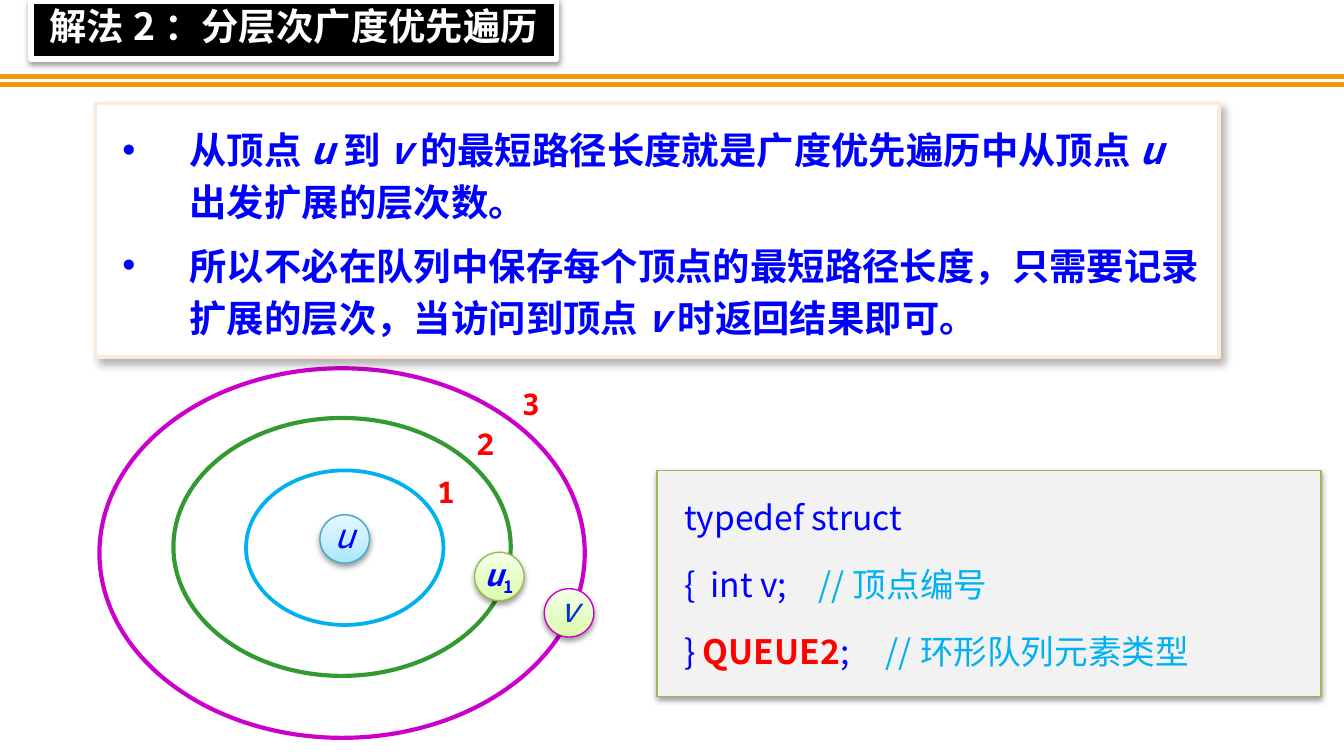
from copy import deepcopy
from lxml.etree import SubElement
from pptx import Presentation
from pptx.dml.color import RGBColor
from pptx.enum.shapes import MSO_CONNECTOR, MSO_SHAPE
from pptx.enum.text import MSO_ANCHOR, PP_ALIGN
from pptx.oxml.ns import qn
from pptx.util import Pt


def color(code):
    return RGBColor.from_string(code)


class Deck:
    """Holds the style and the current slide."""

    font = "Noto Sans CJK SC"
    mono = "Noto Sans Mono"
    blue, sky, red = "0000FF", "00B0F0", "FF0000"
    soft = (38, 3.1, 1.6, 90)
    deep = (30, 4.5, 2.6, 53)
    lime = ("DAFDA7", "E4FCC2", "F5FFE7")
    aqua = ("A7E6FF", "C1EDFF", "E7F8FF")

    def __init__(self):
        self.prs = Presentation()
        self.prs.slide_width, self.prs.slide_height = Pt(720), Pt(405)
        self.slide = self.prs.slides.add_slide(self.prs.slide_layouts[6])

    def rule(self, y):
        line = self.slide.shapes.add_connector(
            MSO_CONNECTOR.STRAIGHT, Pt(0), Pt(y), Pt(720), Pt(y))
        line.line.color.rgb = color("F19903")
        line.line.width = Pt(3)
        SubElement(line._element.spPr, qn("a:effectLst"))

    def shape(self, kind, box, edge, width, fill=None, shade=None):
        item = self.slide.shapes.add_shape(kind, *map(Pt, box))
        item.line.color.rgb = color(edge)
        item.line.width = Pt(width)
        item.shadow.inherit = False
        if fill is None:
            item.fill.background()
        elif isinstance(fill, str):
            item.fill.solid()
            item.fill.fore_color.rgb = color(fill)
        else:
            self.blend(item, fill)
        if shade:
            self.shade(item, *shade)
        return item

    def blend(self, item, tones):
        item.fill.gradient()
        item.fill.gradient_angle = 90
        stops = item._element.spPr.find(".//" + qn("a:gsLst"))
        stops.insert(1, deepcopy(stops[0]))
        for stop, mark, tone in zip(item.fill.gradient_stops, (0, 0.35, 1), tones):
            stop.position = mark
            stop.color.rgb = color(tone)

    def shade(self, item, alpha, blur, dist, angle):
        root = item._element.spPr.find(qn("a:effectLst"))
        cast = SubElement(root, qn("a:outerShdw"), blurRad=str(Pt(blur)),
                          dist=str(Pt(dist)), dir=str(angle * 60000), rotWithShape="0")
        tint = SubElement(cast, qn("a:srgbClr"), val="000000")
        SubElement(tint, qn("a:alpha"), val=str(alpha * 1000))

    def style(self, run, size, tone, bold=False, slant=False, face=font):
        run.font.size = Pt(size)
        run.font.bold, run.font.italic = bold, slant
        run.font.color.rgb = color(tone)
        run.font.name = face
        SubElement(run.font._element, qn("a:ea"), typeface=face)

    def label(self, item, text, size, tone, **look):
        para = item.text_frame.paragraphs[0]
        para.text = text
        para.alignment = PP_ALIGN.CENTER
        para.line_spacing = 0.8
        self.style(para.runs[0], size, tone, **look)
        return para

    def pad(self, item, left, side):
        frame = item.text_frame
        frame.word_wrap = True
        frame.vertical_anchor = MSO_ANCHOR.TOP
        frame.margin_left, frame.margin_right = Pt(left), Pt(7.2)
        frame.margin_top = frame.margin_bottom = Pt(side)
        return frame

    def title(self, box, text):
        item = self.shape(MSO_SHAPE.RECTANGLE, box, "FFFFFF", 3, "000000", self.soft)
        self.pad(item, 7.2, 5.76)
        self.label(item, text, 20, "FFFFFF", bold=True)

    def ring(self, box, edge, width, fill=None):
        self.shape(MSO_SHAPE.OVAL, box, edge, width, fill)

    def node(self, x, y, text, tones, edge, size, tone, bold=False, sub=None):
        item = self.shape(MSO_SHAPE.OVAL, (x, y, 26.6, 25.9), edge, 0.75, tones, self.soft)
        item.text_frame.word_wrap = False
        item.text_frame.vertical_anchor = MSO_ANCHOR.MIDDLE
        para = self.label(item, text, size, tone, bold=bold, slant=True)
        if sub:
            run = para.add_run()
            run.text = sub
            self.style(run, size, tone, bold)
            run.font._element.set("baseline", "-25000")

    def level(self, x, y, text):
        item = self.slide.shapes.add_textbox(Pt(x), Pt(y), Pt(25.9), Pt(21.6))
        item.text_frame.word_wrap = True
        self.label(item, text, 16, self.red, bold=True, face=self.mono)

    def panel(self, box, edge, width, fill, shade, rows, size, pitch, gap, dots=False):
        item = self.shape(MSO_SHAPE.RECTANGLE, box, edge, width, fill, shade)
        frame = self.pad(item, 14.4, 8.64)
        for i, row in enumerate(rows):
            para = frame.add_paragraph() if i else frame.paragraphs[0]
            para.alignment = PP_ALIGN.LEFT
            para.line_spacing = Pt(pitch)
            para.space_before = Pt(gap if i else 0)
            if dots:
                props = para._p.get_or_add_pPr()
                props.set("marL", str(Pt(36)))
                props.set("indent", str(-Pt(36)))
                SubElement(props, qn("a:buFont"), typeface="Arial")
                SubElement(props, qn("a:buChar"), char="•")
            for text, look in row:
                run = para.add_run()
                run.text = text
                self.style(run, size, **look)


def main():
    deck = Deck()
    for y in (41, 45.2):
        deck.rule(y)

    deck.ring((53.3, 197.3, 260, 198), "CC00CC", 2.25)
    deck.ring((92.9, 223.9, 180.7, 138.2), "339933", 2.25)
    deck.ring((131.8, 252, 105.8, 82.8), deck.sky, 2, "FFFFFF")
    deck.node(254.2, 295.9, "u", deck.lime, "98B955", 16, deck.blue, True, "1")
    deck.node(171.4, 275.8, "u", deck.aqua, "46AAC5", 18, deck.blue)
    deck.node(291.6, 315.4, "v", deck.lime, "CC00CC", 18, "0033CC")
    for x, y, text in ((226.1, 254.2, "1"), (247, 228.2, "2"), (271.4, 206.6, "3")):
        deck.level(x, y, text)

    deck.title((16.6, 0.7, 281.5, 31), "解法2：分层次广度优先遍历")

    bold = {"tone": deck.blue, "bold": True}
    slant = {**bold, "slant": True}
    facts = [
        [("从顶点", bold), ("u", slant), ("到", bold), ("v", slant),
         ("的最短路径长度就是广度优先遍历中从顶点", bold), ("u", slant),
         ("出发扩展的层次数。", bold)],
        [("所以不必在队列中保存每个顶点的最短路径长度，只需要记录扩展的层次，当访问到顶点", bold),
         ("v", slant), ("时返回结果即可。", bold)],
    ]
    deck.panel((51.1, 55.4, 602, 136.1), "FDEADA", 2, "FFFFFF", deck.deep,
               facts, 20, 28, 6, True)

    plain, note = {"tone": deck.blue}, {"tone": deck.sky}
    code = [
        [("typedef struct", plain)],
        [("{  int v;\t", plain), ("//顶点编号", note)],
        [("} ", plain), ("QUEUE2", {"tone": deck.red, "bold": True}),
         (";\t", plain), ("//环形队列元素类型", note)],
    ]
    deck.panel((352.1, 252, 355.7, 121), "98B955", 0.75, "F2F2F2", deck.soft,
               code, 18, 27, 9)
    deck.prs.save("out.pptx")


if __name__ == "__main__":
    main()
